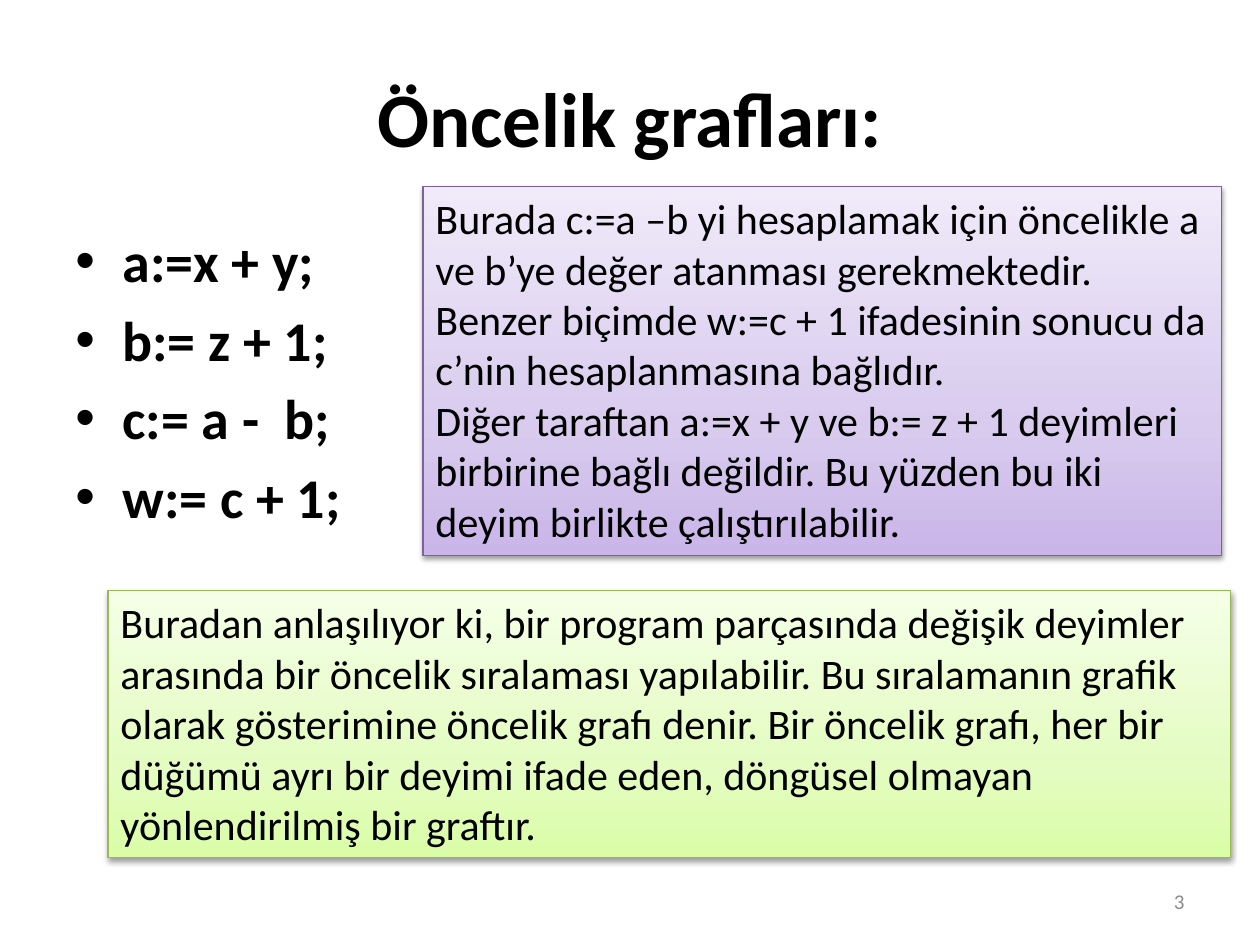
import dataclasses

import pptx
import pptx.dml.color
import pptx.enum.shapes
import pptx.enum.text
import pptx.oxml
import pptx.oxml.ns
import pptx.util
from lxml import etree

Cm, Pt = pptx.util.Cm, pptx.util.Pt
Align = pptx.enum.text.PP_ALIGN
Anchor = pptx.enum.text.MSO_ANCHOR
qn = pptx.oxml.ns.qn


@dataclasses.dataclass(frozen=True)
class Theme:
    font: str = "Calibri"
    ink: str = "000000"
    gray: str = "8C8C8C"
    title: int = 44
    body: int = 32
    note: int = 24
    small: int = 12
    violet: tuple = ("7D60A0", "C9B5E8", "D8CBEE", "F0EAF9")
    green: tuple = ("98B955", "DAFDA7", "E4FCC2", "F5FFE7")


THEME = Theme()
STEPS = ["a:=x + y;", "b:= z + 1;", "c:= a -  b;", "w:= c + 1;"]
REASONS = [
    "Burada c:=a –b yi hesaplamak için öncelikle a ve b’ye değer atanması "
    "gerekmektedir.",
    "Benzer biçimde w:=c + 1 ifadesinin sonucu da c’nin hesaplanmasına bağlıdır.",
    "Diğer taraftan a:=x + y ve b:= z + 1 deyimleri birbirine bağlı değildir. "
    "Bu yüzden bu iki deyim birlikte çalıştırılabilir.",
]
RESULT = [
    "Buradan anlaşılıyor ki, bir program parçasında değişik deyimler arasında "
    "bir öncelik sıralaması yapılabilir. Bu sıralamanın grafik olarak "
    "gösterimine öncelik grafı denir. Bir öncelik grafı, her bir düğümü ayrı "
    "bir deyimi ifade eden, döngüsel olmayan yönlendirilmiş bir graftır.",
]


def color(code):
    return pptx.dml.color.RGBColor.from_string(code)


def write(frame, lines, size, ink=THEME.ink, bold=False, align=Align.LEFT,
          anchor=Anchor.TOP, bullet=False):
    frame.word_wrap = True
    frame.vertical_anchor = anchor
    for i, line in enumerate(lines):
        para = frame.add_paragraph() if i else frame.paragraphs[0]
        para.alignment = align
        if bullet:
            mark(para)
            if i:
                para.space_before = Pt(0.2 * size)
        run = para.add_run()
        run.text = line
        font = run.font
        font.name, font.size, font.bold = THEME.font, Pt(size), bold
        font.color.rgb = color(ink)


def mark(para):
    """Give the paragraph a round bullet with a hanging indent."""
    props = para._p.get_or_add_pPr()
    props.set("marL", str(Cm(0.95)))
    props.set("indent", str(-Cm(0.95)))
    etree.SubElement(props, qn("a:buFont"), typeface="Arial")
    etree.SubElement(props, qn("a:buChar"), char="•")


def add_text(slide, box, lines, size, **style):
    shape = slide.shapes.add_textbox(*map(Cm, box))
    write(shape.text_frame, lines, size, **style)


def shade(shape, tones):
    """Fill from bottom to top through three tones."""
    fill = etree.Element(qn("a:gradFill"), rotWithShape="1")
    stops = etree.SubElement(fill, qn("a:gsLst"))
    for place, tone in zip((0, 35, 100), tones):
        stop = etree.SubElement(stops, qn("a:gs"), pos=str(place * 1000))
        etree.SubElement(stop, qn("a:srgbClr"), val=tone)
    etree.SubElement(fill, qn("a:lin"), ang=str(270 * 60000), scaled="0")
    shape._element.spPr.find(qn("a:prstGeom")).addnext(fill)


def drop(shape):
    """Cast a soft shadow straight down."""
    shape.shadow.inherit = False
    effects = shape._element.spPr.find(qn("a:effectLst"))
    shadow = etree.SubElement(
        effects, qn("a:outerShdw"), blurRad=str(Pt(3.1)), dist=str(Pt(1.6)),
        dir=str(90 * 60000), rotWithShape="0")
    tone = etree.SubElement(shadow, qn("a:srgbClr"), val=THEME.ink)
    etree.SubElement(tone, qn("a:alpha"), val="38000")


def add_card(slide, box, lines, tones):
    kind = pptx.enum.shapes.MSO_SHAPE.RECTANGLE
    card = slide.shapes.add_shape(kind, *map(Cm, box))
    edge, *fills = tones
    shade(card, fills)
    card.line.color.rgb = color(edge)
    card.line.width = Pt(0.75)
    drop(card)
    write(card.text_frame, lines, THEME.note)
    card.text_frame.auto_size = pptx.enum.text.MSO_AUTO_SIZE.SHAPE_TO_FIT_TEXT


def main():
    deck = pptx.Presentation()
    deck.slide_width, deck.slide_height = Cm(25.4), Cm(19.05)
    slide = deck.slides.add_slide(deck.slide_layouts[6])
    add_text(slide, (1.27, 0.76, 22.86, 3.18), ["Öncelik grafları:"],
             THEME.title, bold=True, align=Align.CENTER, anchor=Anchor.MIDDLE)
    add_text(slide, (1.27, 4.45, 22.86, 12.57), STEPS, THEME.body,
             bold=True, bullet=True)
    add_card(slide, (8.53, 3.76, 16.1, 7.44), REASONS, THEME.violet)
    add_card(slide, (2.18, 11.91, 22.63, 5.38), RESULT, THEME.green)
    add_text(slide, (18.21, 17.65, 5.92, 1.02), ["3"], THEME.small,
             ink=THEME.gray, align=Align.RIGHT, anchor=Anchor.MIDDLE)
    deck.save("out.pptx")


if __name__ == "__main__":
    main()
